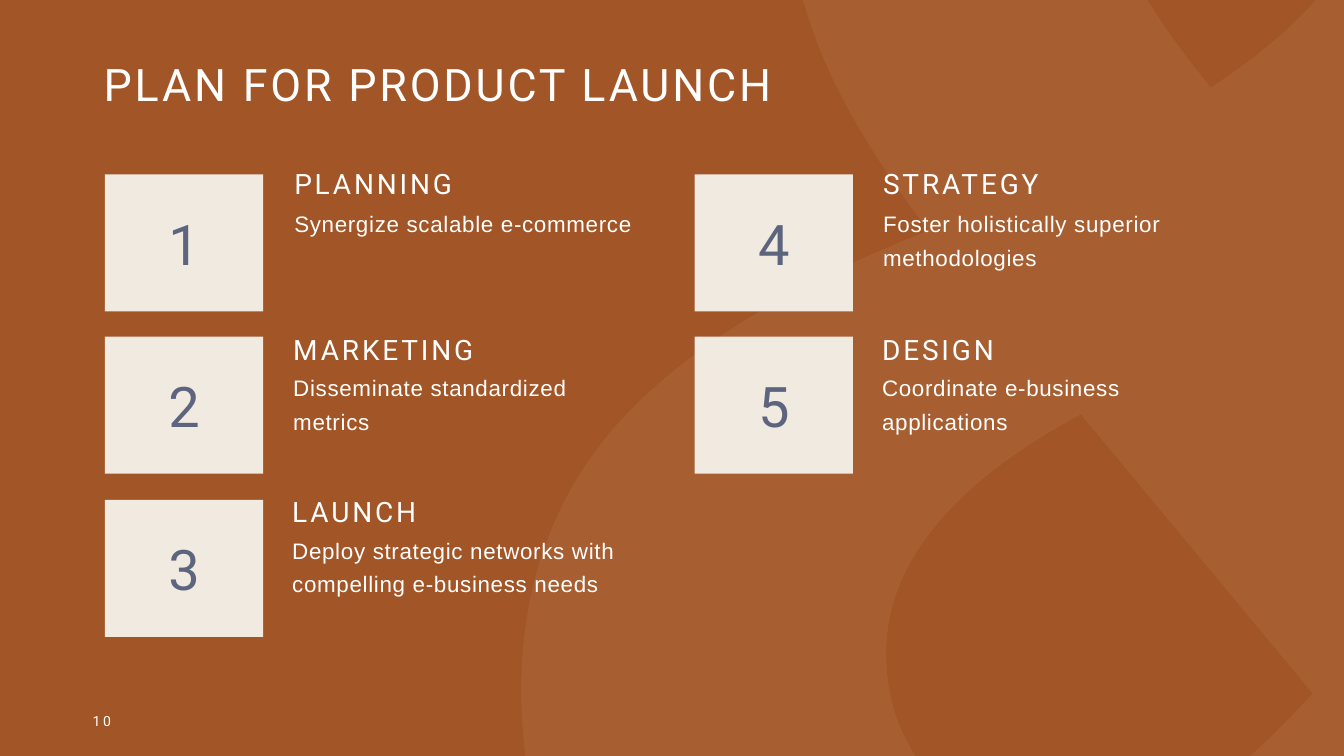
from pptx import Presentation
from pptx.dml.color import RGBColor
from pptx.enum.shapes import MSO_SHAPE
from pptx.enum.text import MSO_ANCHOR, PP_ALIGN
from pptx.oxml.ns import qn
from pptx.util import Inches, Pt
from lxml import etree

RECT = MSO_SHAPE.RECTANGLE
TOP, MIDDLE = MSO_ANCHOR.TOP, MSO_ANCHOR.MIDDLE
LEFT, CENTER = PP_ALIGN.LEFT, PP_ALIGN.CENTER


def paint(fill, color):
    fill.solid()
    fill.fore_color.rgb = RGBColor.from_string(color)


def write(shape, text, size, font="Roboto", color="FFFFFF", gap=2,
          line=1.0, anchor=TOP, align=LEFT):
    frame = shape.text_frame
    frame.word_wrap = True
    frame.vertical_anchor = anchor
    para = frame.paragraphs[0]
    para.text = text
    para.alignment = align
    para.line_spacing = line
    para.font.size = Pt(size)
    para.font.name = font
    paint(para.font.fill, color)
    para.font._rPr.set("spc", str(int(gap * 100)))  # letter spacing


deck = Presentation()
deck.slide_width, deck.slide_height = Inches(13.33), Inches(7.5)
slide = deck.slides.add_slide(deck.slide_layouts[6])
shapes = slide.shapes
paint(slide.background.fill, "A25526")

# Large ampersand: two numbers draw a line, six draw a Bezier curve
outline = [
    (7.8, 2.84, 6.78, 3.48, 6.13, 4.2), (5.49, 4.92, 5.17, 5.81, 5.17, 6.86),
    (5.17, 7.08, 5.19, 7.3, 5.21, 7.5), (9.08, 7.5),
    (8.89, 7.21, 8.79, 6.87, 8.79, 6.48), (8.79, 6.04, 8.95, 5.62, 9.27, 5.23),
    (9.58, 4.84, 10.06, 4.47, 10.72, 4.11), (13.02, 6.88),
    (12.8, 7.12, 12.59, 7.33, 12.4, 7.5), (13.33, 7.5), (13.33, 0), (13.05, 0),
    (12.8, 0.29, 12.45, 0.58, 12.01, 0.87), (11.75, 0.55, 11.54, 0.26, 11.38, 0),
    (7.96, 0), (8.01, 0.15, 8.06, 0.31, 8.12, 0.46),
    (8.34, 1.02, 8.71, 1.63, 9.21, 2.29),
]
pen = shapes.build_freeform(Inches(9.21), Inches(2.29))
for seg in outline:
    pen.add_line_segments([(Inches(x), Inches(y))
                           for x, y in zip(seg[::2], seg[1::2])], close=False)
pen.add_line_segments([], close=True)
swirl = pen.convert_to_shape()
swirl.shadow.inherit = False
swirl.line.fill.background()
paint(swirl.fill, "D6BFA5")
tint = swirl._element.spPr.find(qn("a:solidFill"))[0]
etree.SubElement(tint, qn("a:alpha")).set("val", "10000")

# Join each curve's three points into one Bezier segment
points = iter(list(swirl._element.iter(qn("a:lnTo"))))
for seg in outline:
    first = next(points)
    if len(seg) == 6:
        first.tag = qn("a:cubicBezTo")
        for _ in range(2):
            other = next(points)
            first.append(other[0])
            other.getparent().remove(other)

# Title
title = shapes.add_textbox(Inches(0.93), Inches(0.57), Inches(11.27), Inches(0.59))
write(title, "PLAN FOR PRODUCT LAUNCH", 32, line=0.9)

# Numbered steps, filled down each column of three
steps = [
    ("PLANNING", "Synergize scalable e-commerce"),
    ("MARKETING", "Disseminate standardized metrics"),
    ("LAUNCH", "Deploy strategic networks with compelling e-business needs"),
    ("STRATEGY", "Foster holistically superior methodologies"),
    ("DESIGN", "Coordinate e-business applications"),
]
rows = [(1.73, 1.67, 1.97), (3.34, 3.31, 3.6), (4.96, 4.92, 5.21)]
for i, (head, body) in enumerate(steps):
    col, row = divmod(i, 3)
    tile_y, head_y, body_y = rows[row]
    left = 1.04 + 5.85 * col
    text_x = Inches(2.82 + 5.84 * col - 0.01 * row)

    tile = shapes.add_shape(RECT, Inches(left), Inches(tile_y),
                            Inches(1.57), Inches(1.36))
    tile.shadow.inherit = False
    tile.line.fill.background()
    paint(tile.fill, "F1EAE1")
    write(tile, str(i + 1), 40, color="5D657E", anchor=MIDDLE, align=CENTER)

    box = shapes.add_textbox(text_x, Inches(head_y), Inches(3.68), Inches(0.4))
    write(box, head, 20, line=0.8)
    box = shapes.add_textbox(text_x, Inches(body_y), Inches(3.68), Inches(1.1))
    write(box, body, 16, font="Arial", gap=0.5, line=1.25)

# Page number
page = shapes.add_textbox(Inches(0.82), Inches(6.95), Inches(3), Inches(0.4))
write(page, "10", 10, anchor=MIDDLE)

deck.save("out.pptx")
